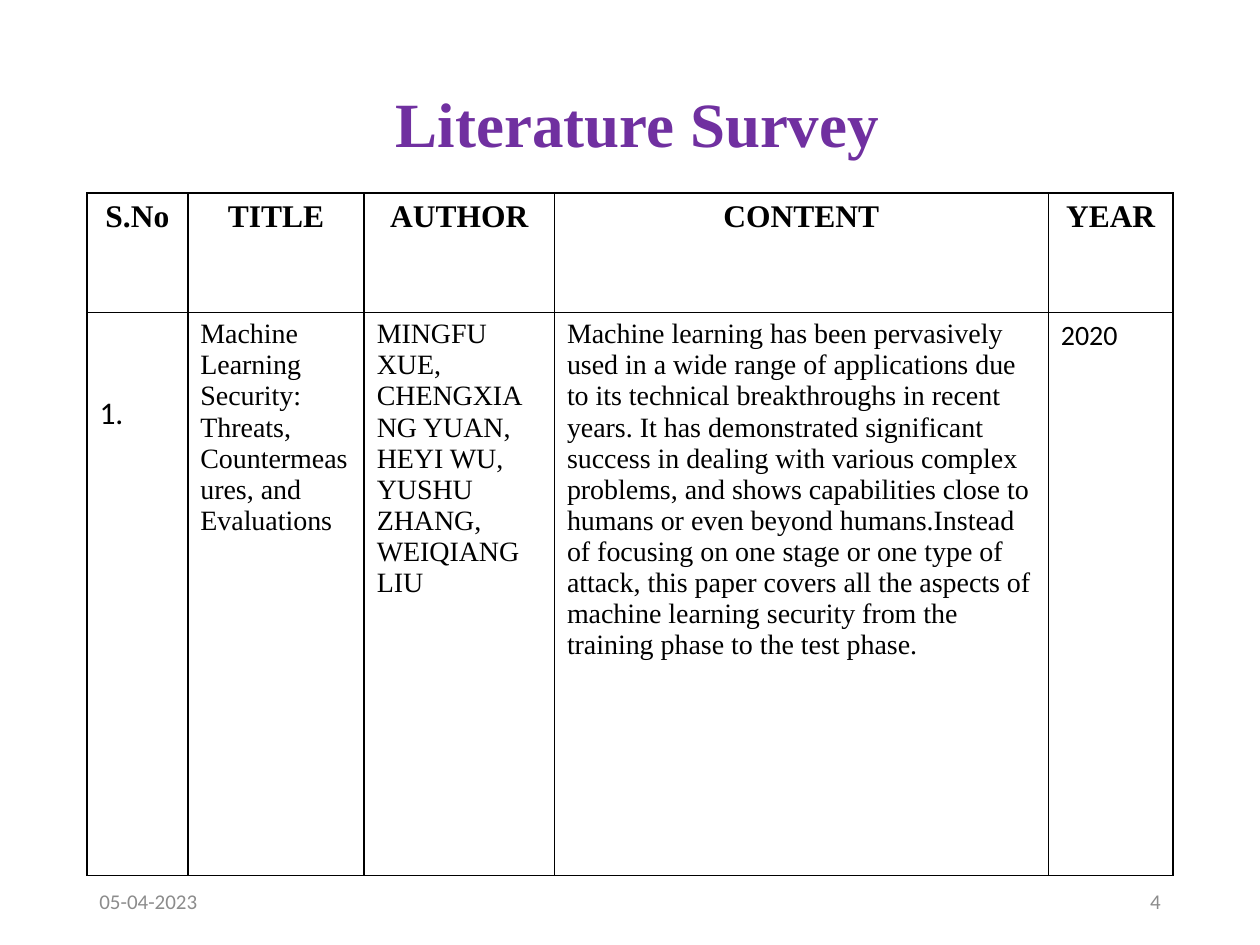
from dataclasses import dataclass

from lxml import etree
from pptx import Presentation
from pptx.dml.color import RGBColor
from pptx.enum import text
from pptx.oxml import ns
from pptx.util import Inches, Pt


@dataclass(frozen=True)
class Theme:
    serif: str = "Times New Roman"
    sans: str = "Calibri"
    purple: str = "7030A0"
    ink: str = "000000"
    grey: str = "8C8C8C"
    title_size: int = 36
    head_size: int = 18
    body_size: int = 16
    footer_size: int = 12
    border_width: int = 1


class SlideBuilder:
    def __init__(self, page, theme):
        self.page = page
        self.theme = theme

    def add_words(self, frame, words, align, color, **style):
        para = frame.paragraphs[0]
        para.alignment = align
        span = para.add_run()
        span.text = words
        for name, value in style.items():
            setattr(span.font, name, value)
        span.font.color.rgb = RGBColor.from_string(color)
        return para

    def title(self, words, left, top, width, height):
        box = self.page.shapes.title
        place = {"left": left, "top": top, "width": width, "height": height}
        for name, value in place.items():
            setattr(box, name, Inches(value))
        frame = box.text_frame
        frame.word_wrap = True
        frame.auto_size = text.MSO_AUTO_SIZE.NONE
        frame.vertical_anchor = text.MSO_ANCHOR.BOTTOM
        para = self.add_words(frame, words, text.PP_ALIGN.CENTER, self.theme.purple,
                              name=self.theme.serif, size=Pt(self.theme.title_size), bold=True)
        para.line_spacing = 0.9

    def footer(self, words, left, align):
        box = self.page.shapes.add_textbox(Inches(left), Inches(6.95), Inches(2.25), Inches(0.4))
        frame = box.text_frame
        frame.word_wrap = True
        frame.vertical_anchor = text.MSO_ANCHOR.MIDDLE
        self.add_words(frame, words, align, self.theme.grey,
                       name=self.theme.sans, size=Pt(self.theme.footer_size))

    def border(self, cell):
        properties = cell._tc.get_or_add_tcPr()
        for index, side in enumerate(("lnL", "lnR", "lnT", "lnB")):
            line = etree.Element(ns.qn(f"a:{side}"), w=str(Pt(self.theme.border_width)))
            fill = etree.SubElement(line, ns.qn("a:solidFill"))
            etree.SubElement(fill, ns.qn("a:srgbClr"), val=self.theme.ink)
            properties.insert(index, line)

    def table(self, left, top, widths, heights, rows, styles):
        grid = self.page.shapes.add_table(
            len(rows), len(widths), Inches(left), Inches(top),
            Inches(sum(widths)), Inches(sum(heights))).table
        grid.horz_banding = False
        grid.first_row = False
        for column, width in zip(grid.columns, widths):
            column.width = Inches(width)
        for row, height in zip(grid.rows, heights):
            row.height = Inches(height)
        for row, words, formats in zip(grid.rows, rows, styles):
            for cell, entry, style in zip(row.cells, words, formats):
                cell.fill.background()
                self.border(cell)
                self.add_words(cell.text_frame, entry, color=self.theme.ink, **style)
        return grid


def main():
    deck = Presentation()
    deck.slide_width, deck.slide_height = Inches(10), Inches(7.5)
    theme = Theme()
    slide = SlideBuilder(deck.slides.add_slide(deck.slide_layouts[5]), theme)

    left, right = text.PP_ALIGN.LEFT, text.PP_ALIGN.RIGHT
    heading = {"align": text.PP_ALIGN.CENTER, "name": theme.serif,
               "size": Pt(theme.head_size), "bold": True}
    body = {"align": left, "name": theme.serif, "size": Pt(theme.body_size), "bold": False}
    year = {**body, "name": theme.sans}
    number = {**year, "size": Pt(theme.head_size)}

    slide.title("Literature Survey", 0.81, 0.58, 8.5, 0.75)
    slide.footer("05-04-2023", 0.69, left)
    slide.footer("4", 7.06, right)

    rows = [
        ["S.No", "TITLE", "AUTHOR", "CONTENT", "YEAR"],
        [
            "1.",
            "Machine Learning Security: Threats, Countermeasures, and Evaluations",
            "MINGFU XUE, CHENGXIANG YUAN, HEYI WU, YUSHU ZHANG, WEIQIANG LIU",
            "Machine learning has been pervasively used in a wide range of applications "
            "due to its technical breakthroughs in recent years. It has demonstrated "
            "significant success in dealing with various complex problems, and shows "
            "capabilities close to humans or even beyond humans.Instead of focusing on "
            "one stage or one type of attack, this paper covers all the aspects of "
            "machine learning security from the training phase to the test phase.",
            "2020",
        ],
    ]
    survey = slide.table(0.69, 1.53, [0.8, 1.4, 1.51, 3.92, 0.99], [0.95, 4.47], rows,
                         [[heading] * 5, [number, body, body, body, year]])
    survey.cell(1, 0).margin_top = Inches(0.65)

    deck.save("out.pptx")


if __name__ == "__main__":
    main()
